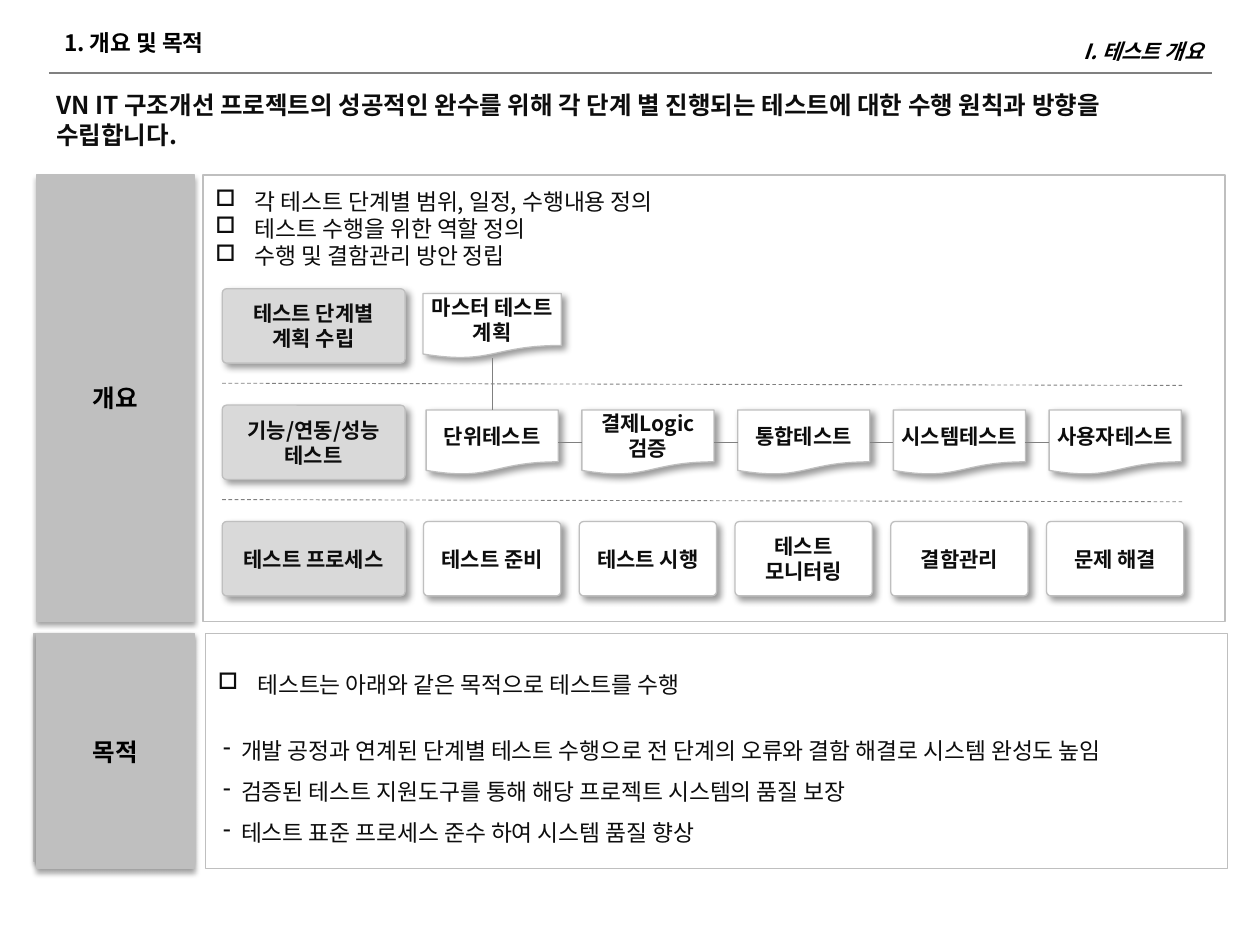
from lxml import etree
from pptx import Presentation, util as u
from pptx.dml.color import RGBColor
from pptx.enum import dml, shapes, text
from pptx.oxml import ns

Pt = u.Pt
FONT = "Noto Sans CJK KR"
BLACK, INK, GREY, EDGE, PALE, WHITE = "000000", "0D0D0D", "808080", "BFBFBF", "D9D9D9", "FFFFFF"
KIND = shapes.MSO_SHAPE
LEFT, CENTER, RIGHT = text.PP_ALIGN.LEFT, text.PP_ALIGN.CENTER, text.PP_ALIGN.RIGHT
TOP, MIDDLE = text.MSO_ANCHOR.TOP, text.MSO_ANCHOR.MIDDLE

# Content
TITLE = "1. 개요 및 목적"
CHAPTER = "I. 테스트 개요"
LEAD = ("VN IT 구조개선 프로젝트의 성공적인 완수를 위해 각 단계 별 진행되는 "
        "테스트에 대한 수행 원칙과 방향을 수립합니다.")
OVERVIEW = ["각 테스트 단계별 범위, 일정, 수행내용 정의",
            "테스트 수행을 위한 역할 정의",
            "수행 및 결함관리 방안 정립"]
GOAL = "테스트는 아래와 같은 목적으로 테스트를 수행"
GOAL_ITEMS = ["개발 공정과 연계된 단계별 테스트 수행으로 전 단계의 오류와 결함 해결로 시스템 완성도 높임",
              "검증된 테스트 지원도구를 통해 해당 프로젝트 시스템의 품질 보장",
              "테스트 표준 프로세스 준수 하여 시스템 품질 향상"]
ROWS = [["테스트 단계별", "계획 수립"], ["기능/연동/성능", "테스트"], ["테스트 프로세스"]]
MASTER_PLAN = ["마스터 테스트", "계획"]
TESTS = [["단위테스트"], ["결제Logic", "검증"], ["통합테스트"], ["시스템테스트"], ["사용자테스트"]]
PROCESS = [["테스트 준비"], ["테스트 시행"], ["테스트", "모니터링"], ["결함관리"], ["문제 해결"]]

# Layout in points
ROW_TOP, ROW_PITCH, ROW_H = 165, 66.5, 42.5
COL_LEFT, COL_PITCH = 242, 89
DOC_W, DOC_H = 75.5, 37
SOFT = (35, 3.1, 1.8, 90)    # shadow: opacity, blur, distance, angle
DROP = (40, 4, 3, 45)
SQUARE = ("□", 22.5, -22.5)  # bullet: mark, margin, indent
DASH = ("-", 13.2, -10.2)


def rgb(color):
    return RGBColor.from_string(color)


def add_xml(parent, tag, **attrs):
    return etree.SubElement(parent, ns.qn(tag), {k: str(v) for k, v in attrs.items()})


def write(sp, lines, size=12, color=INK, bold=False, italic=False, align=LEFT, anchor=MIDDLE,
          inset=7.2, top=3.6, wrap=True, spacing=None, bullets=(), gaps=None, after=0):
    """Fill a shape with one paragraph per line."""
    tf = sp.text_frame
    tf.auto_size = text.MSO_AUTO_SIZE.NONE
    tf.word_wrap, tf.vertical_anchor = wrap, anchor
    tf.margin_left = tf.margin_right = Pt(inset)
    tf.margin_top, tf.margin_bottom = Pt(top), Pt(3.6)
    for i, line in enumerate(lines):
        p = tf.paragraphs[0] if i == 0 else tf.add_paragraph()
        pPr = p._p.get_or_add_pPr()
        mark, margin, indent = bullets[i] if bullets else (None, 0, 0)
        pPr.set("marL", str(Pt(margin)))
        pPr.set("indent", str(Pt(indent)))
        if mark:
            add_xml(pPr, "a:buChar", char=mark)
        else:
            add_xml(pPr, "a:buNone")
        p.alignment = align
        p.space_before, p.space_after = Pt((gaps or {}).get(i, 0)), Pt(after)
        if spacing:
            p.line_spacing = spacing
        r = p.add_run()
        r.text = line
        r.font.size, r.font.bold, r.font.italic = Pt(size), bold, italic
        r.font.color.rgb = rgb(color)
        r.font.name = FONT
        add_xml(r._r.get_or_add_rPr(), "a:ea", typeface=FONT)


def place(sp, x, y, w, h):
    sp.left, sp.top, sp.width, sp.height = Pt(x), Pt(y), Pt(w), Pt(h)
    return sp


def add_box(s, kind, x, y, w, h, fill=WHITE, shadow=None):
    sp = s.shapes.add_shape(kind, Pt(x), Pt(y), Pt(w), Pt(h))
    sp.fill.solid()
    sp.fill.fore_color.rgb = rgb(fill)
    sp.line.color.rgb = rgb(EDGE)
    sp.line.width = Pt(0.75)
    sp.shadow.inherit = False
    if kind == KIND.ROUNDED_RECTANGLE:
        sp.adjustments[0] = 0.06
    if shadow:
        alpha, blur, dist, angle = shadow
        effects = sp._element.spPr.find(ns.qn("a:effectLst"))
        outer = add_xml(effects, "a:outerShdw", blurRad=Pt(blur), dist=Pt(dist),
                        dir=angle * 60000, algn="ctr", rotWithShape=0)
        add_xml(add_xml(outer, "a:srgbClr", val=BLACK), "a:alpha", val=alpha * 1000)
    return sp


def add_line(s, x1=0, y1=0, x2=0, y2=0, width=0.5, dash=False):
    c = s.shapes.add_connector(shapes.MSO_CONNECTOR.STRAIGHT, Pt(x1), Pt(y1), Pt(x2), Pt(y2))
    c.line.color.rgb = rgb(GREY)
    c.line.width = Pt(width)
    if dash:
        c.line.dash_style = dml.MSO_LINE.DASH
    add_xml(c._element.spPr, "a:effectLst")
    return c


def join(s, a, a_side, b, b_side):
    c = add_line(s)
    c.begin_connect(a, a_side)
    c.end_connect(b, b_side)


def add_card(s, kind, x, y, w, h, lines, fill=WHITE):
    sp = add_box(s, kind, x, y, w, h, fill, DROP)
    write(sp, lines, bold=True, align=CENTER, inset=0)
    return sp


def main():
    prs = Presentation()
    prs.slide_width, prs.slide_height = Pt(720), Pt(540)
    s = prs.slides.add_slide(prs.slide_layouts[1])

    # Header
    add_line(s, 28, 41.75, 692.5, 41.75, width=1)
    title, chapter = s.placeholders
    write(place(title, 29.5, 11.5, 656, 26), [TITLE], size=12.9, color=BLACK, bold=True)
    write(place(chapter, 604, 11, 91, 29), [CHAPTER], color=BLACK, bold=True, italic=True,
          align=RIGHT, anchor=TOP, wrap=False, spacing=1.5)
    lead = s.shapes.add_textbox(Pt(25), Pt(43), Pt(667.5), Pt(51))
    write(lead, [LEAD], size=14, bold=True, after=3)

    # Section labels and panels
    add_box(s, KIND.RECTANGLE, 19.5, 362, 90, 130.5, EDGE, SOFT)
    for name, y, h in (("개요", 100, 255), ("목적", 362, 134.5)):
        label = add_box(s, KIND.RECTANGLE, 21, y, 90, h, EDGE, SOFT)
        write(label, [name], size=14, color=BLACK, bold=True, align=CENTER, inset=0)
    overview = add_box(s, KIND.RECTANGLE, 116, 100, 584, 255)
    write(overview, OVERVIEW, size=13, anchor=TOP, top=7.2, bullets=[SQUARE] * len(OVERVIEW))
    goals = add_box(s, KIND.RECTANGLE, 117.5, 362, 584, 134.5)
    write(goals, [GOAL] + GOAL_ITEMS, size=13, spacing=1.5, gaps={1: 14.4},
          bullets=[SQUARE] + [DASH] * len(GOAL_ITEMS))

    # Row headings and dividers
    row_tops = [ROW_TOP + i * ROW_PITCH for i in range(len(ROWS))]
    for y, lines in zip(row_tops, ROWS):
        add_card(s, KIND.ROUNDED_RECTANGLE, 127, y, 104.5, ROW_H, lines, PALE)
    for y in row_tops[:-1]:
        add_line(s, 127, y + 54, 675.5, y + 55.25, dash=True)

    # Plan, tests and process steps
    doc = KIND.FLOWCHART_DOCUMENT
    inset_y = (ROW_H - DOC_H) / 2
    plan = add_card(s, doc, 241.75, row_tops[0] + inset_y, 79, DOC_H, MASTER_PLAN)
    tests = []
    for i, (test, step) in enumerate(zip(TESTS, PROCESS)):
        x = COL_LEFT + i * COL_PITCH
        tests.append(add_card(s, doc, x + 1.5, row_tops[1] + inset_y, DOC_W, DOC_H, test))
        add_card(s, KIND.ROUNDED_RECTANGLE, x, row_tops[2], 78.5, ROW_H, step)

    # Links
    join(s, plan, 2, tests[0], 0)
    for a, b in zip(tests, tests[1:]):
        join(s, a, 3, b, 1)

    prs.save("out.pptx")


if __name__ == "__main__":
    main()
